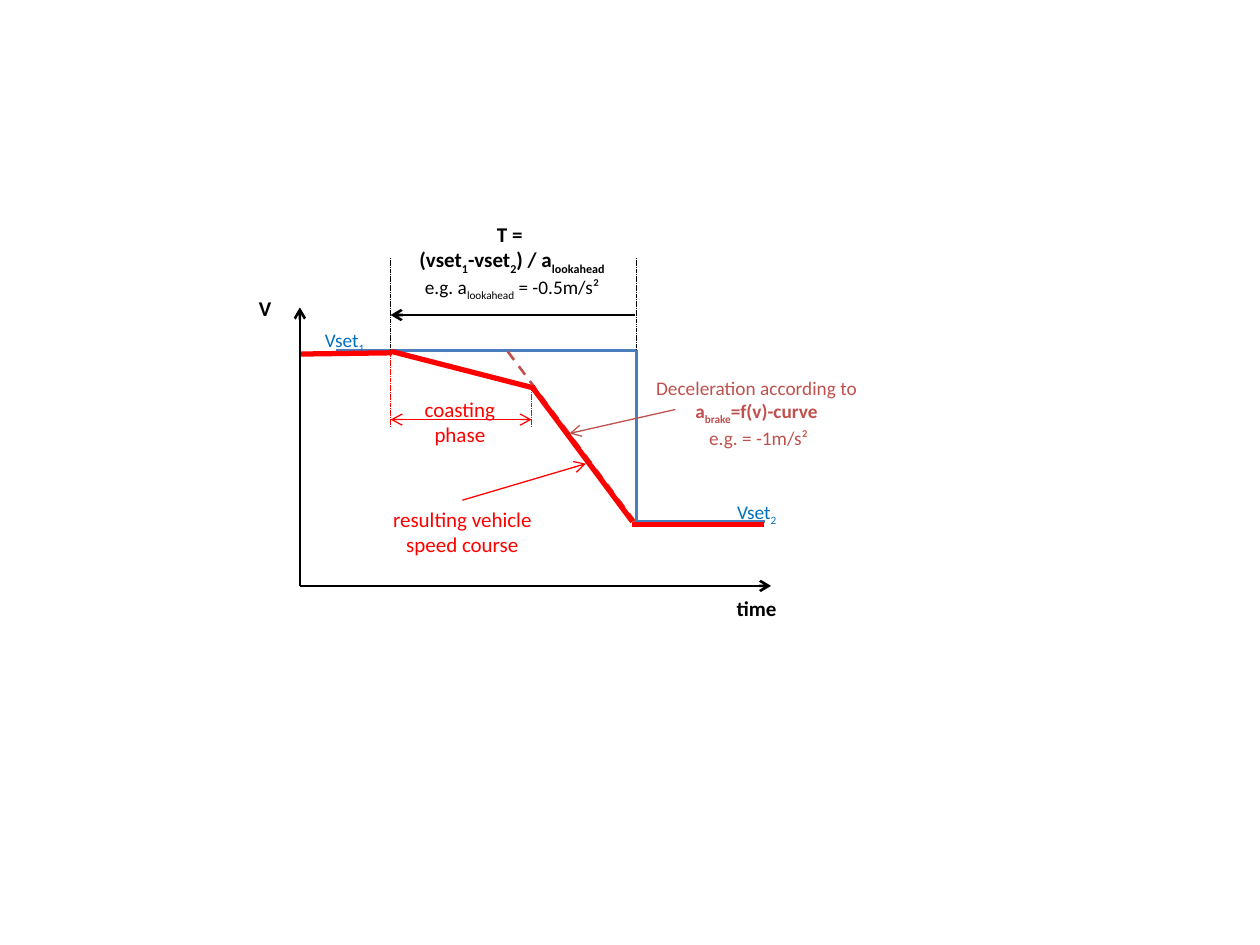
from pptx import Presentation
from pptx.dml.color import RGBColor
from pptx.enum.dml import MSO_LINE_DASH_STYLE as DASH
from pptx.enum.shapes import MSO_CONNECTOR as CONN
from pptx.enum.text import MSO_AUTO_SIZE as FIT, PP_ALIGN as ALIGN
from pptx.oxml.ns import qn
from pptx.util import Inches, Pt
from lxml.etree import SubElement

COLORS = {"black": "000000", "blue": "4B7EBC", "label": "0070C0",
          "brick": "C0504D", "red": "FF0000"}


class Diagram:
    font = "Calibri"

    def __init__(self, slide):
        self.s = slide

    def line(self, start, end, color, width, dash=None, arrows=()):
        ln = self.s.shapes.add_connector(
            CONN.STRAIGHT, *[Inches(v) for v in (*start, *end)])
        ln.line.color.rgb = RGBColor.from_string(COLORS[color])
        ln.line.width = Pt(width)
        if dash:
            ln.line.dash_style = dash
        for tag in arrows:
            SubElement(ln.line._get_or_add_ln(), qn(f"a:{tag}"), type="arrow")
        SubElement(ln._element.spPr, qn("a:effectLst"))

    def text(self, box, lines, color, size, bold=False):
        tb = self.s.shapes.add_textbox(*[Inches(v) for v in box])
        tf = tb.text_frame
        tf.word_wrap = True
        tf.auto_size = FIT.SHAPE_TO_FIT_TEXT
        p = tf.paragraphs[0]
        p.alignment = ALIGN.CENTER
        p.font.name = self.font
        p.font.size = Pt(size)
        p.font.bold = bold
        p.font.color.rgb = RGBColor.from_string(COLORS[color])
        for i, runs in enumerate(lines):
            if i:
                p.add_line_break()
            for text, *style in runs:
                self.run(p, text, **(style[0] if style else {}))

    def run(self, p, text, sub=False, bold=None, size=None):
        r = p.add_run()
        r.text = text
        r.font.bold = bold
        if size:
            r.font.size = Pt(size)
        if sub:
            r.font._element.set("baseline", "-25000")


prs = Presentation()
prs.slide_width, prs.slide_height = Inches(10), Inches(7.5)
d = Diagram(prs.slides.add_slide(prs.slide_layouts[6]))

SUB = {"sub": True}
BOLD = {"bold": True}
BOLD_SUB = {"bold": True, "sub": True}
PLAIN = {"bold": False, "size": 11}
PLAIN_SUB = {**PLAIN, "sub": True}
TAIL = ("tailEnd",)
BOTH = ("headEnd", "tailEnd")
origin = (2.38, 4.65)
coast_x, brake_x, drop_x = 3.1, 4.22, 5.05
high_y, low_y = 2.78, 4.14

for end in ((2.38, 2.44), (6.12, 4.65)):
    d.line(origin, end, "black", 1.5, arrows=TAIL)
for name, box in (("V", (1.82, 2.3, 0.57, 0.3)),
                  ("time", (5.61, 4.68, 0.79, 0.3))):
    d.text(box, [[(name,)]], "black", 12, bold=True)

set_speed = [(2.67, high_y), (drop_x, high_y), (drop_x, low_y), (6.07, low_y)]
for start, end in zip(set_speed, set_speed[1:]):
    d.line(start, end, "blue", 1.5)
for number, box in (("1", (2.38, 2.56, 0.71, 0.29)),
                    ("2", (5.61, 3.92, 0.79, 0.29))):
    d.text(box, [[("Vset",), (number, SUB)]], "label", 11)

d.line((4.03, 2.79), (5.04, low_y), "brick", 1.5, DASH.DASH)
d.text((4.94, 2.94, 2.13, 0.66),
       [[("Deceleration according to ",), ("a", BOLD), ("brake", BOLD_SUB),
         ("=f(v)-curve", BOLD)],
        [(" e.g. = -1m/s²",)]], "brick", 11)
d.line((5.36, 3.25), (4.52, 3.44), "brick", 0.75, arrows=TAIL)

d.line((5.04, 2.5), (coast_x, 2.5), "black", 1.5, arrows=TAIL)
for x in (drop_x, coast_x):
    d.line((x, high_y), (x, 2.05), "black", 0.25, DASH.SQUARE_DOT)
d.text((2.93, 1.71, 2.27, 0.89),
       [[("T = ",)],
        [("(vset",), ("1", SUB), ("-vset",), ("2", SUB), (") / a",),
         ("lookahead", SUB)],
        [("e.g. a", PLAIN), ("lookahead", PLAIN_SUB), (" = -0.5m/s²", PLAIN)]],
       "black", 12, bold=True)

for start, end in (((3.11, 2.79), (4.24, 3.08)), ((4.23, 3.08), (5.02, 4.14)),
                   ((5.02, 4.16), (6.06, 4.16)), ((2.39, 2.81), (3.11, 2.8))):
    d.line(start, end, "red", 3)
d.text((3, 3.97, 1.34, 0.71), [[("resulting vehicle speed course",)]], "red", 12)
d.line((3.67, 3.97), (4.65, 3.68), "red", 0.75, arrows=TAIL)

d.text((3.16, 3.1, 0.98, 0.5), [[("coasting phase",)]], "red", 12)
for x, top in ((coast_x, 2.81), (brake_x, 3.09)):
    d.line((x, 3.39), (x, top), "red", 0.25, DASH.SQUARE_DOT)
d.line((coast_x, 3.33), (brake_x, 3.33), "red", 0.75, arrows=BOTH)

prs.save("out.pptx")
